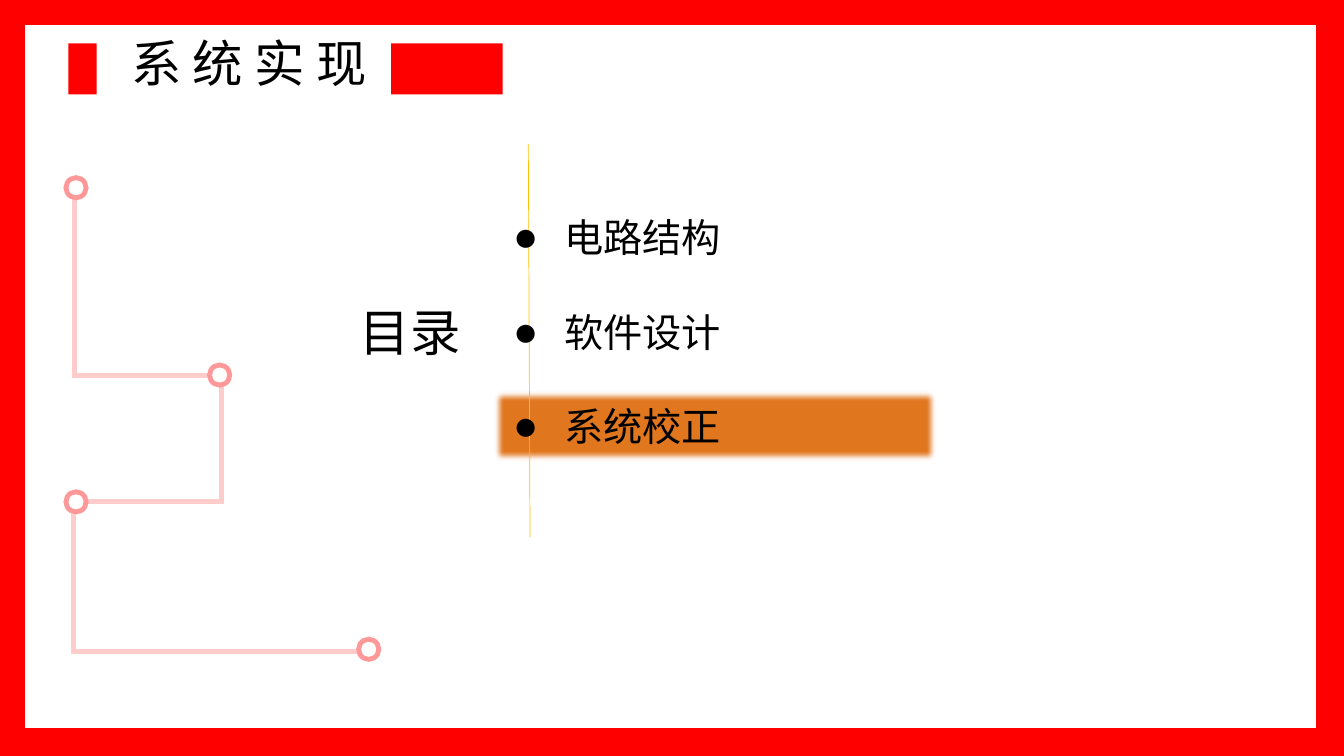
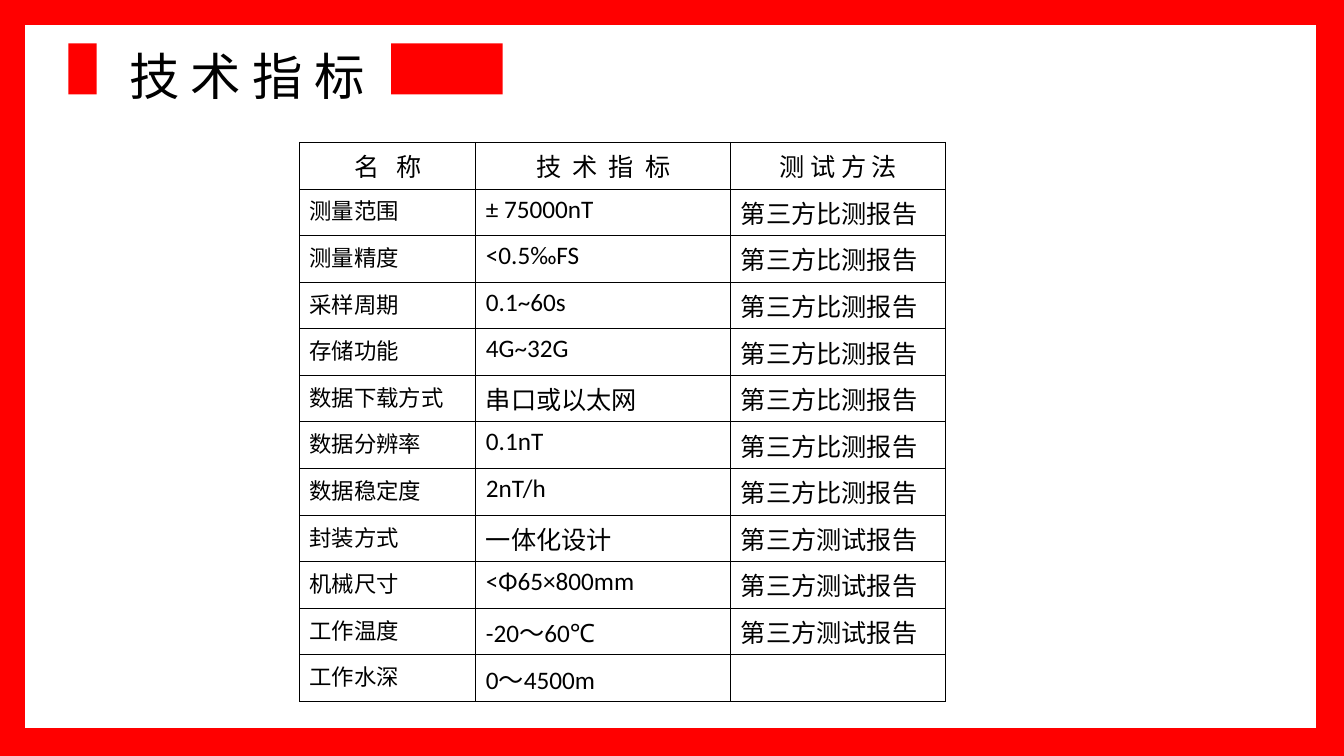
"""Build the contents slide and the technical specification slide."""
from dataclasses import dataclass
from typing import Any, NamedTuple, Optional

from lxml.etree import SubElement
from pptx import Presentation
from pptx.dml.color import RGBColor
from pptx.enum.shapes import MSO_CONNECTOR as Connector, MSO_SHAPE as Preset
from pptx.enum.text import MSO_ANCHOR as Anchor, MSO_AUTO_SIZE as AutoSize, PP_ALIGN as Align
from pptx.oxml.ns import qn
from pptx.util import Emu, Pt

SLIDE_WIDTH, SLIDE_HEIGHT = Emu(12192000), Emu(6858000)
GRID_COLUMNS = 32
UNIT = SLIDE_WIDTH / GRID_COLUMNS

RED = RGBColor(0xFF, 0x00, 0x00)
ORANGE = RGBColor(0xE1, 0x77, 0x1F)
GOLD = RGBColor(0xFF, 0xC0, 0x00)
PALE_PINK = RGBColor(0xFF, 0xCC, 0xCC)
PINK = RGBColor(0xFF, 0x99, 0x99)
WHITE = RGBColor(0xFF, 0xFF, 0xFF)
BLACK = RGBColor(0x00, 0x00, 0x00)

LATIN_FONT = "Calibri"
CHINESE_FONT = "Noto Sans CJK SC"


class Point(NamedTuple):
    column: float
    row: float


class Box(NamedTuple):
    column: float
    row: float
    columns: float
    rows: float


class Stroke(NamedTuple):
    color: RGBColor
    points: float


@dataclass(frozen=True)
class Figure:
    box: Box
    fill: Optional[RGBColor] = None
    stroke: Optional[Stroke] = None
    preset: Any = Preset.RECTANGLE


@dataclass(frozen=True)
class Title:
    text: str
    box: Box
    indent: float


class Heading(NamedTuple):
    text: str
    columns: float
    spacing: int


BAND_ROW, BAND_ROWS = 1.03, 1.22
SHARED_FIGURES = (
    Figure(Box(1.63, BAND_ROW, 0.67, BAND_ROWS), RED),
    Figure(Box(9.31, BAND_ROW, 2.66, BAND_ROWS), RED),
    Figure(Box(0.26, 0.26, 31.4, 17.4), stroke=Stroke(RED, 20)),
)
CONTENTS_TITLE = Title("系 统 实 现", Box(2.62, 0.8, 7.1, 1.56), 0.27)
SPECIFICATION_TITLE = Title("技 术 指 标", Box(2.3, 1.11, 7.1, 1.56), 0.54)

TOPICS = ("电路结构", "软件设计", "系统校正")
TOPIC_BOX = Box(12, 4.97, 5.47, 9.29)
HIGHLIGHT = Figure(Box(11.71, 9.26, 10.63, 1.78), ORANGE)
LABEL_BOX = Box(8.33, 7.08, 2.9, 1.7)
DIVIDER = (Point(12.58, 3.43), Point(12.62, 12.79))
TRAIL = (Point(1.78, 4.54), Point(1.78, 8.95), Point(5.28, 8.95), Point(5.28, 11.94),
         Point(1.75, 11.94), Point(1.75, 15.51), Point(8.78, 15.51))
NODES = (Point(1.81, 4.47), Point(5.23, 8.93), Point(1.81, 11.95), Point(8.78, 15.46))
NODE_SIZE = 0.48

HEADINGS = (Heading("名 称", 4.2, 400), Heading("技 术 指 标", 6.07, 200),
            Heading("测 试 方 法", 5.12, 0))
COMPARED, TESTED = "第三方比测报告", "第三方测试报告"
SPECIFICATIONS = (
    ("测量范围", "± 75000nT", COMPARED),
    ("测量精度", "<0.5‰FS", COMPARED),
    ("采样周期", "0.1~60s", COMPARED),
    ("存储功能", "4G~32G", COMPARED),
    ("数据下载方式", "串口或以太网", COMPARED),
    ("数据分辨率", "0.1nT", COMPARED),
    ("数据稳定度", "2nT/h", COMPARED),
    ("封装方式", "一体化设计", TESTED),
    ("机械尺寸", "<Φ65×800mm", TESTED),
    ("工作温度", "-20～60℃", TESTED),
    ("工作水深", "0～4500m", ""),
)
TABLE_ORIGIN = Point(7.13, 3.39)
TABLE_ROW = 1.11


def grid(*lengths: float) -> list:
    """Turn grid units into slide lengths."""
    return [Emu(round(length * UNIT)) for length in lengths]


def assign(target: Any, values: dict) -> None:
    """Set every named attribute on the target."""
    for name, value in values.items():
        setattr(target, name, value)


def set_stroke(shape: Any, stroke: Stroke) -> None:
    """Give a shape a solid outline with mitred corners."""
    shape.line.color.rgb = stroke.color
    shape.line.width = Pt(stroke.points)
    outline = shape._element.spPr.find(qn("a:ln"))
    SubElement(outline, qn("a:miter"), lim="800000")


def draw_figure(slide: Any, figure: Figure) -> Any:
    """Draw one preset shape."""
    shape = slide.shapes.add_shape(figure.preset, *grid(*figure.box))
    if figure.fill is None:
        shape.fill.background()
    else:
        shape.fill.solid()
        shape.fill.fore_color.rgb = figure.fill
    if figure.stroke is None:
        shape.line.fill.background()
    else:
        set_stroke(shape, figure.stroke)
    shape.shadow.inherit = False
    return shape


def write(paragraph: Any, text: str, size: float, latin: str = LATIN_FONT,
          spacing: int = 0) -> None:
    """Add one black run in the given font and letter spacing."""
    run = paragraph.add_run()
    run.text = text
    assign(run.font, {"name": latin, "size": Pt(size)})
    run.font.color.rgb = BLACK
    properties = run.font._element
    SubElement(properties, qn("a:ea"), typeface=CHINESE_FONT)
    if spacing:
        properties.set("spc", str(spacing))


def add_text_frame(slide: Any, box: Box, values: dict) -> Any:
    """Add a text box and return its formatted frame."""
    frame = slide.shapes.add_textbox(*grid(*box)).text_frame
    assign(frame, values)
    return frame


def start_slide(presentation: Any, title: Title) -> Any:
    """Add a blank slide with the shared frame, bands and title."""
    slide = presentation.slides.add_slide(presentation.slide_layouts[6])
    for figure in SHARED_FIGURES:
        draw_figure(slide, figure)
    frame = add_text_frame(slide, title.box, {
        "word_wrap": True, "vertical_anchor": Anchor.MIDDLE,
        "auto_size": AutoSize.SHAPE_TO_FIT_TEXT})
    paragraph = frame.paragraphs[0]
    paragraph.line_spacing = 0.9
    indent, = grid(title.indent)
    paragraph._p.get_or_add_pPr().set("marL", str(indent))
    write(paragraph, title.text, 36)
    return slide


def draw_topics(slide: Any) -> None:
    """Write the bulleted contents list."""
    frame = add_text_frame(slide, TOPIC_BOX, {"word_wrap": True})
    indent, = grid(1.2)
    for index, topic in enumerate(TOPICS):
        paragraph = frame.add_paragraph() if index else frame.paragraphs[0]
        assign(paragraph, {"line_spacing": Pt(33.7), "space_after": Pt(33.8)})
        properties = paragraph._p.get_or_add_pPr()
        properties.set("marL", str(indent))
        properties.set("indent", str(-indent))
        SubElement(properties, qn("a:buFont"), typeface=LATIN_FONT)
        SubElement(properties, qn("a:buChar"), char="●")
        write(paragraph, topic, 28, CHINESE_FONT)


def draw_trail(slide: Any) -> None:
    """Draw the stepped line and the rings along it."""
    start, *corners = [grid(*point) for point in TRAIL]
    builder = slide.shapes.build_freeform(*start)
    builder.add_line_segments(corners, close=False)
    trail = builder.convert_to_shape()
    trail.fill.background()
    set_stroke(trail, Stroke(PALE_PINK, 3.5))
    trail.shadow.inherit = False
    for node in NODES:
        box = Box(node.column - NODE_SIZE / 2, node.row - NODE_SIZE / 2, NODE_SIZE, NODE_SIZE)
        draw_figure(slide, Figure(box, WHITE, Stroke(PINK, 3.5), Preset.OVAL))


def draw_contents(presentation: Any) -> None:
    """Build the contents slide."""
    slide = start_slide(presentation, CONTENTS_TITLE)
    highlight = draw_figure(slide, HIGHLIGHT)
    effects = highlight._element.spPr.find(qn("a:effectLst"))
    SubElement(effects, qn("a:softEdge"), rad=str(Pt(5)))
    frame = add_text_frame(slide, LABEL_BOX, {"word_wrap": False})
    frame.paragraphs[0].line_spacing = Pt(42.5)
    write(frame.paragraphs[0], "目录", 36, CHINESE_FONT)
    top, bottom = DIVIDER
    divider = slide.shapes.add_connector(Connector.STRAIGHT, *grid(*top, *bottom))
    set_stroke(divider, Stroke(GOLD, 0.5))
    SubElement(divider._element.spPr, qn("a:effectLst"))
    draw_topics(slide)
    draw_trail(slide)


def format_cell(cell: Any) -> None:
    """Give a cell a white fill and thin black borders."""
    properties = cell._tc.get_or_add_tcPr()
    for side in ("L", "R", "T", "B"):
        border = SubElement(properties, qn(f"a:ln{side}"), w=str(Pt(0.75)))
        fill = SubElement(border, qn("a:solidFill"))
        SubElement(fill, qn("a:srgbClr"), val=str(BLACK))
    cell.fill.solid()
    cell.fill.fore_color.rgb = WHITE


def draw_specifications(presentation: Any) -> None:
    """Build the specification table slide."""
    slide = start_slide(presentation, SPECIFICATION_TITLE)
    row_count = len(SPECIFICATIONS) + 1
    box = Box(*TABLE_ORIGIN, sum(heading.columns for heading in HEADINGS),
              TABLE_ROW * row_count)
    table = slide.shapes.add_table(row_count, len(HEADINGS), *grid(*box)).table
    assign(table, {"first_row": False, "horz_banding": False})
    for column, heading in enumerate(HEADINGS):
        table.columns[column].width, = grid(heading.columns)
        cell = table.cell(0, column)
        format_cell(cell)
        paragraph = cell.text_frame.paragraphs[0]
        paragraph.alignment = Align.CENTER
        write(paragraph, heading.text, 18, spacing=heading.spacing)
    for row, texts in enumerate(SPECIFICATIONS, start=1):
        for column, text in enumerate(texts):
            cell = table.cell(row, column)
            format_cell(cell)
            if text:
                write(cell.text_frame.paragraphs[0], text, 18 if column else 16)


def main() -> None:
    """Build and save the presentation."""
    presentation = Presentation()
    assign(presentation, {"slide_width": SLIDE_WIDTH, "slide_height": SLIDE_HEIGHT})
    draw_contents(presentation)
    draw_specifications(presentation)
    presentation.save("out.pptx")


main()
